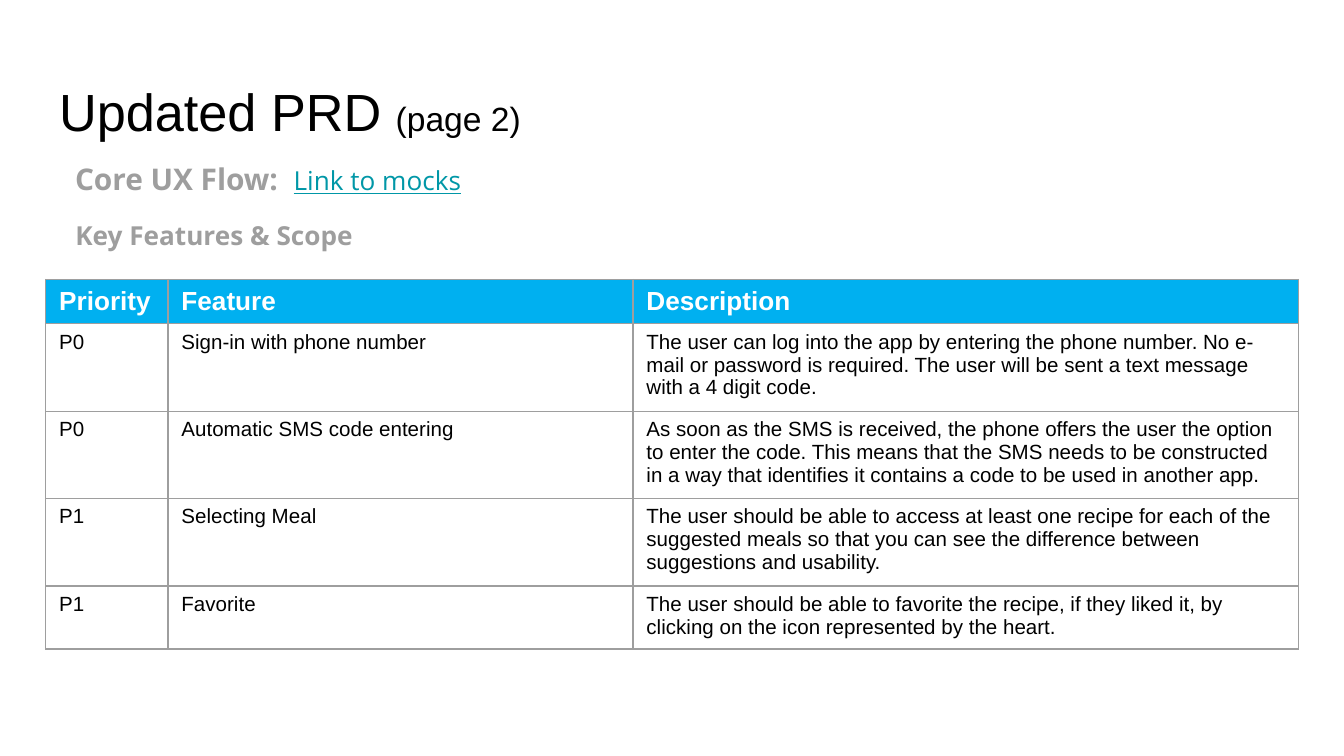
from lxml import etree
from pptx import Presentation
from pptx import util as u
from pptx.dml.color import RGBColor
from pptx.enum import text
from pptx.oxml import ns

BLACK = RGBColor(0x00, 0x00, 0x00)
WHITE = RGBColor(0xFF, 0xFF, 0xFF)
GRAY = RGBColor(0x9E, 0x9E, 0x9E)
TEAL = RGBColor(0x00, 0x97, 0xA7)
BLUE = RGBColor(0x00, 0xB0, 0xF0)

SLIDE_WIDTH = 10
SLIDE_HEIGHT = SLIDE_WIDTH * 9 / 16
LEFT, WIDTH = 0.34, 9.32
COLUMN_WIDTHS = [0.91, 3.46, 4.95]
ROW_HEIGHTS = [0.33, 0.65, 0.65, 0.65, 0.47]
FEATURES = [
    ["Priority", "Feature", "Description"],
    ["P0", "Sign-in with phone number",
     "The user can log into the app by entering the phone number. No e-mail or "
     "password is required. The user will be sent a text message with a 4 digit code."],
    ["P0", "Automatic SMS code entering",
     "As soon as the SMS is received, the phone offers the user the option to enter "
     "the code. This means that the SMS needs to be constructed in a way that "
     "identifies it contains a code to be used in another app."],
    ["P1", "Selecting Meal",
     "The user should be able to access at least one recipe for each of the suggested "
     "meals so that you can see the difference between suggestions and usability."],
    ["P1", "Favorite",
     "The user should be able to favorite the recipe, if they liked it, by clicking "
     "on the icon represented by the heart."],
]


class SlideWriter:
    heading_font = "Open Sans"
    plain_font = "Arial"

    def __init__(self, slide):
        self.slide = slide

    def place(self, box, left, top, width, height):
        box.left, box.top = u.Inches(left), u.Inches(top)
        box.width, box.height = u.Inches(width), u.Inches(height)

    def prepare_frame(self, box, vertical_inset):
        frame = box.text_frame
        frame.word_wrap = True
        frame.auto_size = text.MSO_AUTO_SIZE.NONE
        frame.vertical_anchor = text.MSO_ANCHOR.TOP
        frame.margin_left = frame.margin_right = u.Inches(0.1)
        frame.margin_top = frame.margin_bottom = u.Inches(vertical_inset)
        para = frame.paragraphs[0]
        para.alignment = text.PP_ALIGN.LEFT
        para.space_before = u.Pt(0)
        return para

    def span(self, para, words, size, color, font, bold=False, underline=False):
        span = para.add_run()
        span.text = words
        span.font.name, span.font.size = font, u.Pt(size)
        span.font.bold, span.font.underline = bold, underline
        span.font.color.rgb = color

    def title(self, words, suffix, top, height):
        box = self.slide.shapes.title
        self.place(box, LEFT, top, WIDTH, height)
        para = self.prepare_frame(box, 0.1)
        self.span(para, words, 28, BLACK, self.plain_font)
        self.span(para, suffix, 18, BLACK, self.plain_font)

    def heading(self, box, words, size, vertical_inset):
        """Write a gray, indented heading without a bullet."""
        para = self.prepare_frame(box, vertical_inset)
        para.line_spacing = 1.15
        properties = para._p.get_or_add_pPr()
        properties.set("marL", str(u.Inches(0.12)))
        properties.set("indent", "0")
        etree.SubElement(properties, ns.qn("a:buNone"))
        self.span(para, words, size, GRAY, self.heading_font, bold=True)
        return para

    def body(self, words, top, height):
        box = self.slide.placeholders[1]
        self.place(box, LEFT, top, WIDTH, height)
        self.heading(box, words, 14, 0.1)

    def link_line(self, words, link, top, width, height):
        box = self.slide.shapes.add_textbox(0, 0, 0, 0)
        self.place(box, LEFT, top, width, height)
        para = self.heading(box, words, 16, 0.05)
        self.span(para, link, 14, TEAL, self.heading_font, underline=True)

    def border(self, cell):
        properties = cell._tc.get_or_add_tcPr()
        for position, side in enumerate(("lnL", "lnR", "lnT", "lnB")):
            line = etree.Element(ns.qn(f"a:{side}"), w=str(u.Pt(0.75)))
            fill = etree.SubElement(line, ns.qn("a:solidFill"))
            etree.SubElement(fill, ns.qn("a:srgbClr"), val=str(GRAY))
            properties.insert(position, line)

    def table(self, rows, top):
        frame = self.slide.shapes.add_table(
            len(rows), len(COLUMN_WIDTHS), u.Inches(LEFT), u.Inches(top),
            u.Inches(WIDTH), u.Inches(sum(ROW_HEIGHTS)))
        table = frame.table
        table.horz_banding = False
        for column, width in zip(table.columns, COLUMN_WIDTHS):
            column.width = u.Inches(width)
        for index, (row, height) in enumerate(zip(table.rows, ROW_HEIGHTS)):
            row.height = u.Inches(height)
            header = index == 0
            for cell, words in zip(row.cells, rows[index]):
                if header:
                    cell.fill.solid()
                    cell.fill.fore_color.rgb = BLUE
                else:
                    cell.fill.background()
                self.border(cell)
                self.span(cell.text_frame.paragraphs[0], words,
                          14 if header else 11, WHITE if header else BLACK,
                          self.plain_font, bold=header)


def main():
    deck = Presentation()
    deck.slide_width = u.Inches(SLIDE_WIDTH)
    deck.slide_height = u.Inches(SLIDE_HEIGHT)
    page = SlideWriter(deck.slides.add_slide(deck.slide_layouts[1]))
    page.title("Updated PRD ", "(page 2)", 0.49, 0.63)
    page.body("Key Features & Scope", 1.5, 3.49)
    page.link_line("Core UX Flow:  ", "Link to mocks", 1.11, 5, 0.39)
    page.table(FEATURES, 2.08)
    deck.save("out.pptx")


if __name__ == "__main__":
    main()
